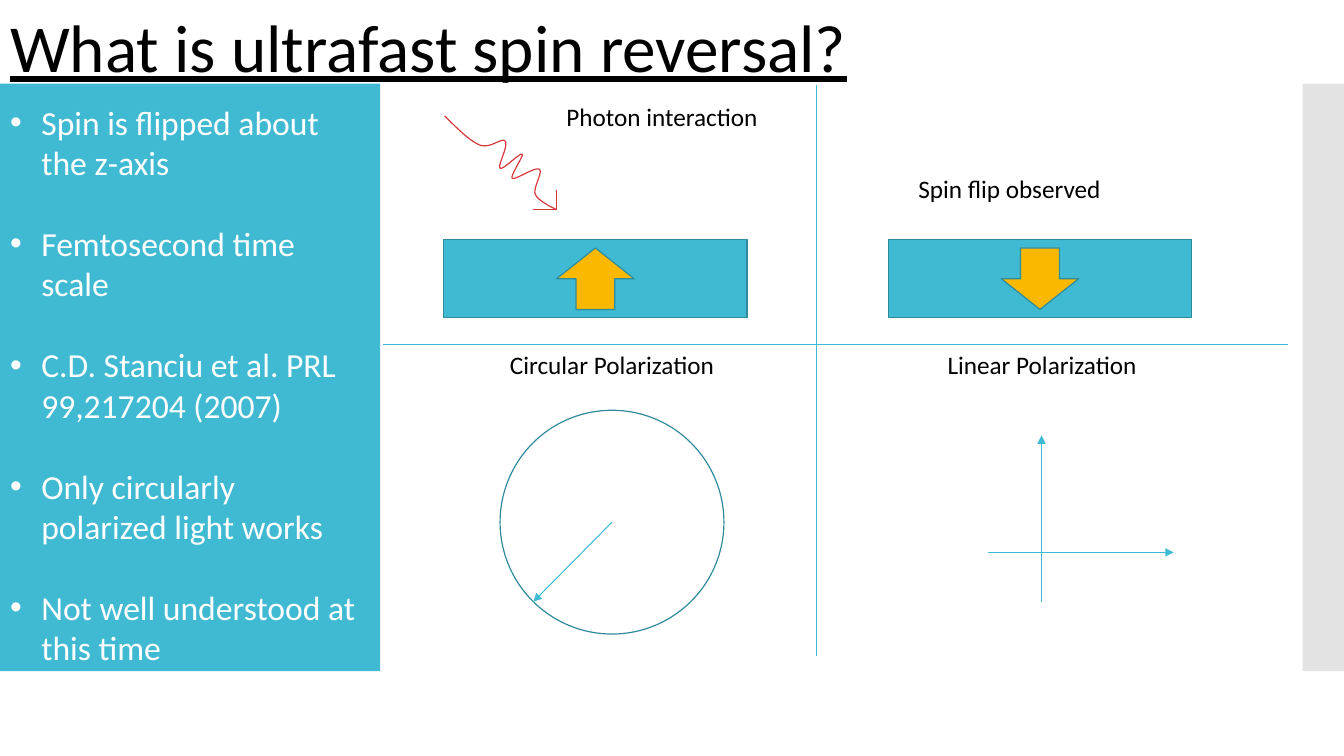
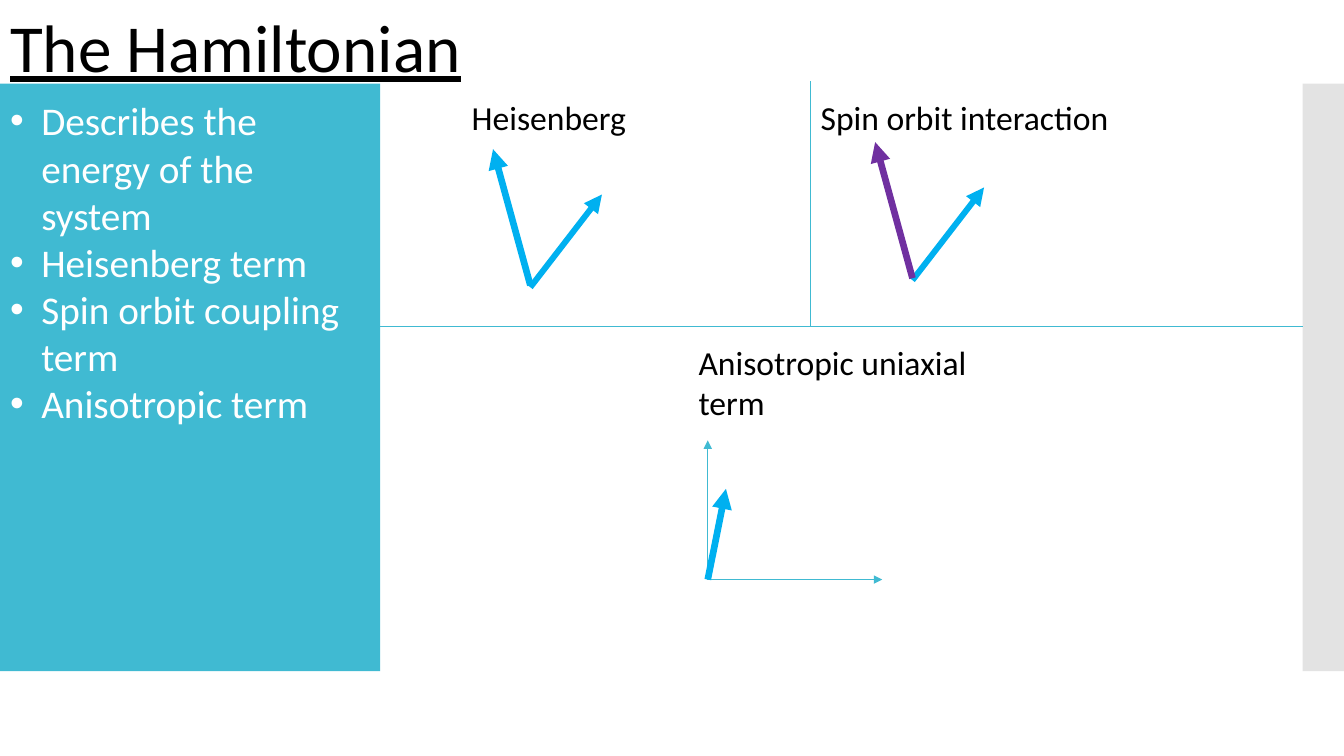
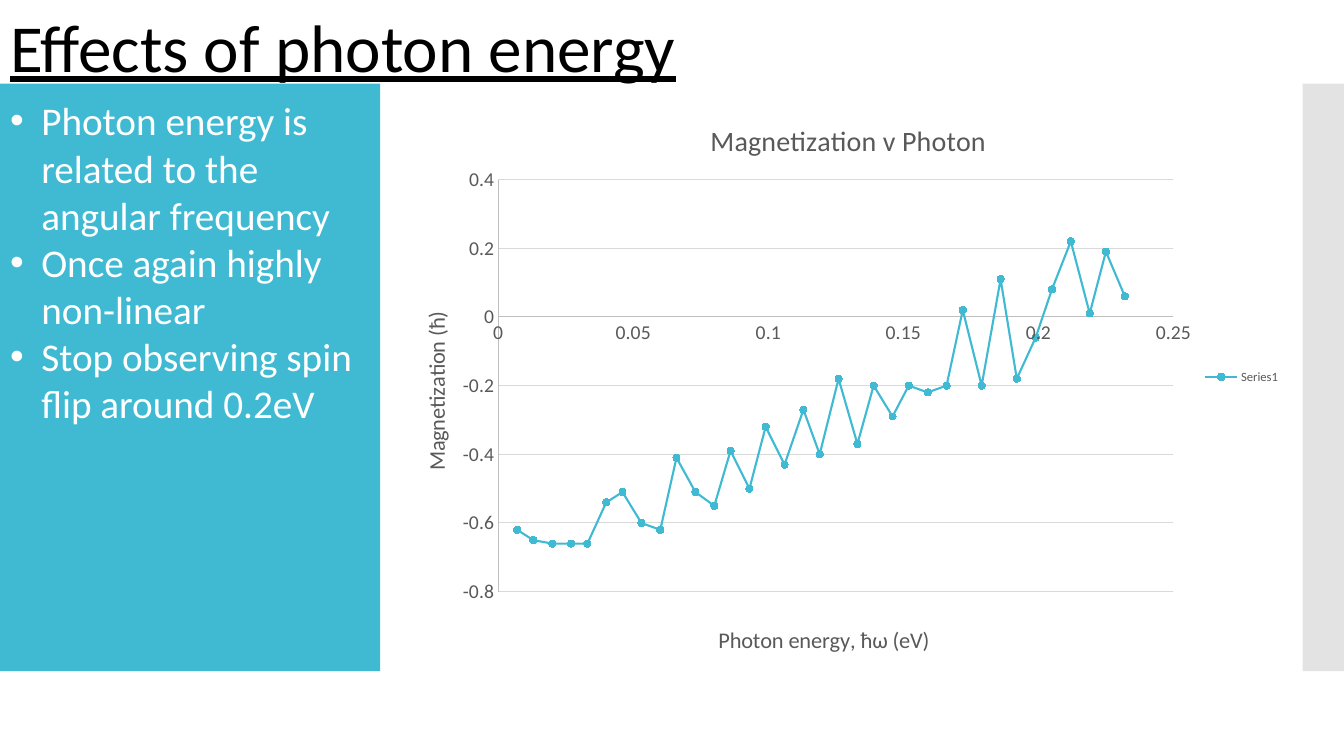
from dataclasses import dataclass

from lxml.etree import SubElement
from pptx import Presentation
from pptx.chart.data import XyChartData
from pptx.dml.color import RGBColor
from pptx.enum.chart import (XL_CHART_TYPE as ChartType, XL_LEGEND_POSITION as LegendPosition,
                             XL_MARKER_STYLE as MarkerStyle, XL_TICK_MARK as TickMark)
from pptx.enum.shapes import MSO_CONNECTOR as Connector, MSO_SHAPE as Shape
from pptx.enum.text import MSO_ANCHOR as Anchor, MSO_AUTO_SIZE as AutoSize, PP_ALIGN as Align
from pptx.oxml import parse_xml
from pptx.oxml.ns import nsdecls, qn
from pptx.util import Inches, Pt


@dataclass(frozen=True)
class Theme:
    font: str = "Calibri"
    text: str = "000000"
    light: str = "FFFFFF"
    accent: str = "40BAD2"
    outline: str = "2F8A9B"
    edge_band: str = "C8C8C8"
    spin: str = "FAB900"
    photon: str = "D5393D"
    vector: str = "00B0F0"
    orbit: str = "7030A0"
    chart_text: str = "595959"
    axis: str = "BFBFBF"
    grid: str = "D9D9D9"
    title_size: int = 48
    list_size: int = 28
    label_size: int = 24
    small_size: int = 18
    thin: float = 0.75
    shape_line: float = 0.85


def apply(target, **values):
    for name, value in values.items():
        setattr(target, name, value)


def box(left, top, width, height):
    return [Inches(value) for value in (left, top, width, height)]


def bezier(start, control_1, control_2, end, steps=10):
    """Points along a cubic curve, without its start."""
    for step in range(1, steps + 1):
        t = step / steps
        weights = (1 - t) ** 3, 3 * t * (1 - t) ** 2, 3 * t * t * (1 - t), t ** 3
        points = start, control_1, control_2, end
        yield tuple(sum(w * point[axis] for w, point in zip(weights, points)) for axis in (0, 1))


class Deck:
    def __init__(self, theme):
        self.theme = theme
        self.presentation = Presentation()
        apply(self.presentation, slide_width=Inches(13.33), slide_height=Inches(7.5))
        self.slide = None

    # Formatting
    def style_font(self, font, size, color):
        apply(font, name=self.theme.font, size=Pt(size), bold=False)
        font.color.rgb = RGBColor.from_string(color)

    def style_line(self, line, color, width):
        line.color.rgb = RGBColor.from_string(color)
        line.width = Pt(width)

    def place(self, shape, bounds):
        apply(shape, **dict(zip(("left", "top", "width", "height"), box(*bounds))))

    def style_frame(self, frame, anchor=Anchor.TOP):
        apply(frame, word_wrap=True, auto_size=AutoSize.NONE, vertical_anchor=anchor)

    # Slide frame
    def new_slide(self, title, title_width):
        theme = self.theme
        self.slide = self.presentation.slides.add_slide(self.presentation.slide_layouts[1])
        side = self.shape(Shape.RECTANGLE, (0, 0.83, 3.77, 5.83), theme.accent)
        edge = self.shape(Shape.RECTANGLE, (12.92, 0.83, 0.42, 5.83), theme.edge_band)
        color = edge.element.spPr.find(".//" + qn("a:srgbClr"))
        SubElement(color, qn("a:alpha"), val="50000")
        for band in (edge, side):  # bands lie behind the placeholders
            band.element.getparent().insert(2, band.element)
        heading = self.slide.shapes.title
        self.place(heading, (0, 0, title_width, 0.91))
        self.style_frame(heading.text_frame)
        paragraph = heading.text_frame.paragraphs[0]
        paragraph.text, paragraph.alignment = title, Align.LEFT
        self.style_font(paragraph.font, theme.title_size, theme.text)
        paragraph.font.underline = True

    def bullets(self, items, bounds, size, gap=0):
        body = self.slide.placeholders[1]
        self.place(body, bounds)
        frame = body.text_frame
        self.style_frame(frame)
        frame.text = "\n".join(items)
        indent = Inches(0.31)
        for index, paragraph in enumerate(frame.paragraphs):
            apply(paragraph, space_before=Pt(gap if index else 0), alignment=Align.LEFT)
            properties = paragraph._p.get_or_add_pPr()
            properties.set("marL", str(indent))
            properties.set("indent", str(-indent))
            self.style_font(paragraph.font, size, self.theme.light)

    # Drawing elements
    def shape(self, kind, bounds, fill, line=None, rotation=0):
        shape = self.slide.shapes.add_shape(kind, *box(*bounds))
        shape.shadow.inherit = False
        shape.rotation = rotation
        shape.fill.solid()
        shape.fill.fore_color.rgb = RGBColor.from_string(fill)
        if line:
            self.style_line(shape.line, line, self.theme.shape_line)
        else:
            shape.line.fill.background()
        return shape

    def label(self, text, bounds, size):
        frame = self.slide.shapes.add_textbox(*box(*bounds)).text_frame
        self.style_frame(frame)
        frame.text = text
        self.style_font(frame.paragraphs[0].font, size, self.theme.text)

    def line(self, start, end, color=None, width=None, arrow=False):
        points = [Inches(value) for value in (*start, *end)]
        connector = self.slide.shapes.add_connector(Connector.STRAIGHT, *points)
        self.style_line(connector.line, color or self.theme.accent, width or self.theme.thin)
        if arrow:
            SubElement(connector.line._get_or_add_ln(), qn("a:tailEnd"), type="triangle")
        SubElement(connector.element.spPr, qn("a:effectLst"))

    def curve(self, start, segments, color):
        points, here = [], start
        for segment in segments:
            points += bezier(here, *segment)
            here = segment[-1]
        builder = self.slide.shapes.build_freeform(Inches(start[0]), Inches(start[1]))
        builder.add_line_segments([(Inches(x), Inches(y)) for x, y in points], close=False)
        wave = builder.convert_to_shape()
        wave.shadow.inherit = False
        wave.fill.background()
        self.style_line(wave.line, color, self.theme.shape_line)

    # Chart
    def chart_layout(self, parent, position, inner_size=None):
        values = dict(zip("xy", position))
        target = ""
        if inner_size:
            values.update(zip("wh", inner_size))
            target = '<c:layoutTarget val="inner"/>'
        modes = "".join(f'<c:{key}Mode val="edge"/>' for key in "xy")
        sizes = "".join(f'<c:{key} val="{value}"/>' for key, value in values.items())
        for old in parent.findall(qn("c:layout")):
            parent.remove(old)
        layout = parse_xml(f'<c:layout {nsdecls("c")}><c:manualLayout>{target}{modes}{sizes}'
                           '</c:manualLayout></c:layout>')
        parent.insert(0 if inner_size else 1, layout)

    def chart_title(self, title, text, size, position):
        title.text_frame.text = text
        font = title.text_frame.paragraphs[0].runs[0].font
        self.style_font(font, size, self.theme.chart_text)
        self.chart_layout(title._element, position)

    def scatter(self, bounds, title, points, axes):
        theme = self.theme
        data = XyChartData()
        series_data = data.add_series("Series1")
        for x, y in points:
            series_data.add_data_point(x, y)
        chart = self.slide.shapes.add_chart(
            ChartType.XY_SCATTER_SMOOTH, *box(*bounds), data).chart
        self.style_font(chart.font, 10, theme.text)
        chart.has_title = chart.has_legend = True
        self.chart_title(chart.chart_title, title, 20, (0.35, 0.05))
        apply(chart.legend, position=LegendPosition.RIGHT, include_in_layout=False)
        self.style_font(chart.legend.font, 9, theme.chart_text)
        for axis, (text, position, limits) in zip((chart.category_axis, chart.value_axis), axes):
            low, high, step = limits
            apply(axis, minimum_scale=low, maximum_scale=high, major_unit=step,
                  major_tick_mark=TickMark.NONE, minor_tick_mark=TickMark.NONE,
                  has_major_gridlines=axis is not chart.category_axis, has_title=True)
            self.style_font(axis.tick_labels.font, 14, theme.chart_text)
            self.style_line(axis.format.line, theme.axis, theme.thin)
            self.chart_title(axis.axis_title, text, 16, position)
        value_axis = chart.value_axis
        chart.category_axis.has_major_gridlines = False
        value_axis.has_major_gridlines = True
        self.style_line(value_axis.major_gridlines.format.line, theme.grid, theme.thin)
        value_axis.axis_title._element.find(".//" + qn("a:bodyPr")).set("rot", "-5400000")
        plot = chart.plots[0]
        plot.vary_by_categories = False
        series = plot.series[0]
        series.smooth = True
        self.style_line(series.format.line, theme.accent, 1.5)
        apply(series.marker, style=MarkerStyle.CIRCLE, size=5)
        series.marker.format.fill.solid()
        series.marker.format.fill.fore_color.rgb = RGBColor.from_string(theme.accent)
        self.style_line(series.marker.format.line, theme.accent, theme.thin)
        plot_area = chart._chartSpace.find(".//" + qn("c:plotArea"))
        self.chart_layout(plot_area, (0.12, 0.16), (0.75, 0.71))


theme = Theme()
deck = Deck(theme)

# Slide 1: spin reversal
deck.new_slide("What is ultrafast spin reversal?", 12.49)
deck.bullets(["Spin is flipped about the z-axis", "Femtosecond time scale",
              "C.D. Stanciu et al. PRL 99,217204 (2007)",
              "Only circularly polarized light works", "Not well understood at this time"],
             (0, 0.96, 3.68, 5.76), 24, gap=29)

# Magnetic layers, before and after the flip
for left, rotation in ((4.4, 180), (8.81, 0)):
    deck.shape(Shape.RECTANGLE, (left, 2.38, 3.01, 0.77), theme.accent, theme.outline)
    deck.shape(Shape.DOWN_ARROW, (left + 1.12, 2.46, 0.77, 0.61), theme.spin, theme.outline,
               rotation)

# Incoming photon
photon_tip = (5.52, 2.08)
deck.curve((4.41, 1.15), [
    ((4.53, 1.27), (4.66, 1.4), (4.76, 1.44)),
    ((4.86, 1.48), (4.98, 1.36), (5.01, 1.4)),
    ((5.05, 1.44), (4.93, 1.65), (4.96, 1.67)),
    ((4.99, 1.69), (5.16, 1.51), (5.18, 1.53)),
    ((5.2, 1.54), (5.06, 1.74), (5.08, 1.77)),
    ((5.11, 1.79), (5.31, 1.65), (5.35, 1.68)),
    ((5.39, 1.71), (5.28, 1.87), (5.31, 1.93)),
    ((5.34, 2), photon_tip, photon_tip)], theme.photon)
for barb in ((5.52, 1.89), (5.29, 2.08)):
    deck.line(photon_tip, barb, theme.photon)

# Polarization sketches
deck.shape(Shape.OVAL, (4.96, 4.07, 2.22, 2.22), theme.light, theme.outline)
for start, end in (((6.07, 5.18), (5.29, 5.97)), ((10.33, 5.97), (10.33, 4.32)),
                   ((9.8, 5.48), (11.64, 5.48))):
    deck.line(start, end, arrow=True)

# Labels and dividers
for text, left, top, width in (("Circular Polarization", 4.96, 3.42, 3.13),
                               ("Linear Polarization", 9.3, 3.42, 2.53),
                               ("Photon interaction", 5.52, 0.96, 2.37),
                               ("Spin flip observed", 9.01, 1.67, 2.64)):
    deck.label(text, (left, top, width, 0.4), theme.small_size)
deck.line((8.1, 0.84), (8.1, 6.51))
deck.line((3.8, 3.42), (12.77, 3.42))

# Slide 2: Hamiltonian
deck.new_slide("The Hamiltonian", 9.76)
deck.bullets(["Describes the energy of the system", "Heisenberg term",
              "Spin orbit coupling term", "Anisotropic term"],
             (0, 0.91, 3.73, 3.4), theme.list_size)

# Vector pairs
for x, y, color in ((5.26, 2.85, theme.vector), (9.05, 2.78, theme.orbit)):
    deck.line((x, y), (x + 0.71, y - 0.92), theme.vector, 4.25, arrow=True)
    deck.line((x, y - 0.02), (x - 0.37, y - 1.37), color, 4.75, arrow=True)

# Easy-axis sketch
origin = (7.02, 5.75)
deck.line(origin, (7.02, 4.37), arrow=True)
deck.line(origin, (8.75, 5.75), arrow=True)
deck.line(origin, (7.2, 4.85), theme.vector, 4.75, arrow=True)

# Labels and dividers
for text, bounds in (("Heisenberg", (4.58, 0.91, 3.05, 0.5)),
                     ("Anisotropic uniaxial term", (6.83, 3.34, 2.88, 1.21)),
                     ("Spin orbit interaction", (8.04, 0.91, 4.11, 0.5))):
    deck.label(text, bounds, theme.label_size)
deck.line((3.73, 3.24), (12.92, 3.24))
deck.line((8.04, 3.24), (8.04, 0.8))

# Slide 3: photon energy
deck.new_slide("Effects of photon energy", 10.93)
deck.bullets(["Photon energy is related to the angular frequency",
              "Once again highly non-linear", "Stop observing spin flip around 0.2eV"],
             (0, 0.91, 3.61, 3.87), theme.list_size)
energies = [0.007, 0.013, 0.02, 0.027, 0.033, 0.04, 0.046, 0.053, 0.06, 0.066, 0.073, 0.08,
            0.086, 0.093, 0.099, 0.106, 0.113, 0.119, 0.126, 0.133, 0.139, 0.146, 0.152, 0.159,
            0.166, 0.172, 0.179, 0.186, 0.192, 0.199, 0.205, 0.212, 0.219, 0.225, 0.232]
magnetization = [-0.62, -0.65, -0.66, -0.66, -0.66, -0.54, -0.51, -0.6, -0.62, -0.41, -0.51,
                 -0.55, -0.39, -0.5, -0.32, -0.43, -0.27, -0.4, -0.18, -0.37, -0.2, -0.29, -0.2,
                 -0.22, -0.2, 0.02, -0.2, 0.11, -0.18, -0.06, 0.08, 0.22, 0.01, 0.19, 0.06]
deck.scatter((3.87, 0.86, 8.93, 5.76), "Magnetization v Photon", zip(energies, magnetization),
             [("Photon energy, ħω (eV)", (0.36, 0.92), (0, 0.25, 0.05)),
              ("Magnetization (ħ)", (0.03, 0.38), (-0.8, 0.4, 0.2))])

deck.presentation.save("out.pptx")
